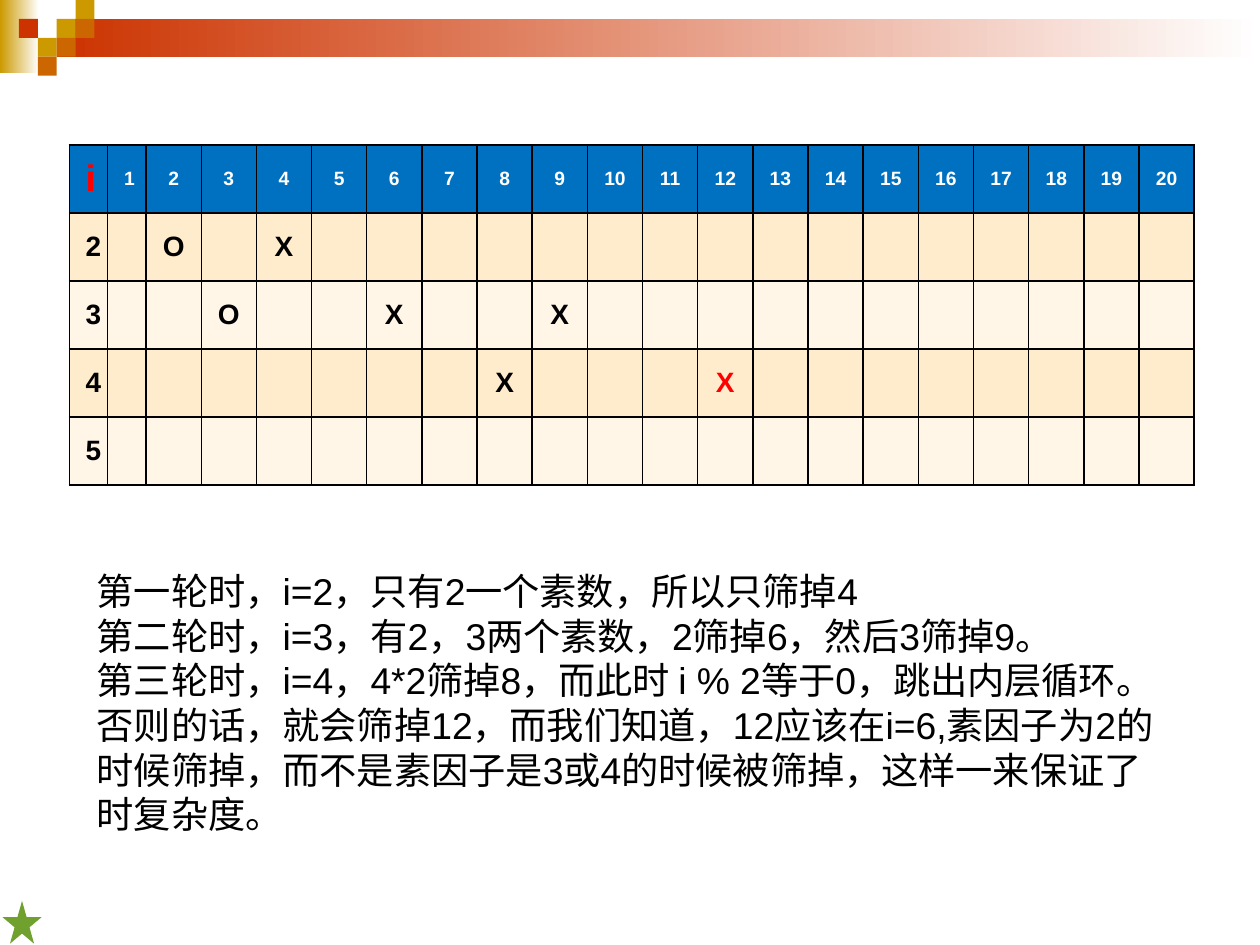
from lxml import etree
from pptx import Presentation
from pptx.dml.color import RGBColor
from pptx.enum.shapes import MSO_SHAPE
from pptx.enum.text import MSO_ANCHOR, MSO_AUTO_SIZE, PP_ALIGN
from pptx.oxml.ns import qn
from pptx.util import Inches, Pt

RECTANGLE, STAR = MSO_SHAPE.RECTANGLE, MSO_SHAPE.STAR_5_POINT
CENTER, MIDDLE = PP_ALIGN.CENTER, MSO_ANCHOR.MIDDLE
GROW = MSO_AUTO_SIZE.SHAPE_TO_FIT_TEXT

FONT = "Arial"
BLACK, WHITE, RED = "000000", "FFFFFF", "FF0000"
GOLD, ORANGE, RUST, GREEN = "CC9900", "CC6600", "CC3300", "70A02E"
HEADER_BLUE, BANDS = "0070C0", ("FFECCC", "FFF6E7")

NUMBERS = range(1, 21)
ROUNDS = (2, 3, 4, 5)
# (round, number): mark and its colour
MARKS = {
    (2, 2): ("O", BLACK), (2, 4): ("X", BLACK),
    (3, 3): ("O", BLACK), (3, 6): ("X", BLACK), (3, 9): ("X", BLACK),
    (4, 8): ("X", BLACK), (4, 12): ("X", RED),
}
EXPLANATION = (
    "第一轮时，i=2，只有2一个素数，所以只筛掉4",
    "第二轮时，i=3，有2，3两个素数，2筛掉6，然后3筛掉9。",
    "第三轮时，i=4，4*2筛掉8，而此时 i % 2等于0，跳出内层循环。",
    "否则的话，就会筛掉12，而我们知道，12应该在i=6,素因子为2的时候筛掉，"
    "而不是素因子是3或4的时候被筛掉，这样一来保证了时复杂度。",
)


def color(value):
    return RGBColor.from_string(value)


def place(box):
    return [Inches(length) for length in box]


def format_text(para, size, value, bold=False):
    for span in para.runs:
        span.font.name = FONT
        span.font.size = Pt(size)
        span.font.bold = bold
        span.font.color.rgb = color(value)


def add_plain_shape(page, kind, box, start, end=None):
    shape = page.shapes.add_shape(kind, *place(box))
    shape.shadow.inherit = False
    shape.line.fill.background()
    if end is None:
        shape.fill.solid()
        shape.fill.fore_color.rgb = color(start)
    else:
        shape.fill.gradient()
        shape.fill.gradient_angle = 0
        for stop, value in zip(shape.fill.gradient_stops, (start, end)):
            stop.color.rgb = color(value)


def add_banner(page, box):
    left, top, width, height = box
    tile = 0.15
    add_plain_shape(page, RECTANGLE, (left, top, 0.31, height), GOLD, WHITE)
    add_plain_shape(page, RECTANGLE,
                    (left + 0.45, top + tile, width - 0.45, 2 * tile), RUST, WHITE)
    # Checker tiles: column, row, colour
    for column, row, value in ((3, 1, GOLD), (4, 0, GOLD), (4, 1, ORANGE), (2, 2, GOLD),
                               (1, 1, RUST), (3, 2, ORANGE), (2, 3, ORANGE)):
        add_plain_shape(page, RECTANGLE,
                        (left + column * tile, top + row * tile, tile, tile), value)


def add_borders(cell):
    properties = cell._tc.get_or_add_tcPr()
    for position, side in enumerate(("a:lnL", "a:lnR", "a:lnT", "a:lnB")):
        line = etree.Element(qn(side), w=str(Pt(1)))
        fill = etree.SubElement(line, qn("a:solidFill"))
        etree.SubElement(fill, qn("a:srgbClr"), val=BLACK)
        properties.insert(position, line)


def fill_cell(cell, background, text="", size=16, value=BLACK):
    cell.fill.solid()
    cell.fill.fore_color.rgb = color(background)
    add_borders(cell)
    if text:
        cell.vertical_anchor = MIDDLE
        cell.margin_left = cell.margin_right = Inches(0.13)
        cell.margin_top = cell.margin_bottom = Inches(0.07)
        cell.text_frame.text = text
        para = cell.text_frame.paragraphs[0]
        para.alignment = CENTER
        format_text(para, size, value, bold=True)


def add_sieve_table(page, box):
    narrow = 0.305
    wide = (box[2] - 2 * narrow) / (len(NUMBERS) - 1)
    row_height = box[3] / (len(ROUNDS) + 1)
    table = page.shapes.add_table(len(ROUNDS) + 1, len(NUMBERS) + 1, *place(box)).table
    for index, column in enumerate(table.columns):
        column.width = Inches(narrow if index < 2 else wide)
    for row in table.rows:
        row.height = Inches(row_height)

    # Header row
    fill_cell(table.cell(0, 0), HEADER_BLUE, "i", 21, RED)
    for number in NUMBERS:
        fill_cell(table.cell(0, number), HEADER_BLUE, str(number), 11, WHITE)

    # One banded row for each round
    for row, current in enumerate(ROUNDS, start=1):
        band = BANDS[(row - 1) % 2]
        fill_cell(table.cell(row, 0), band, str(current))
        for number in NUMBERS:
            mark, value = MARKS.get((current, number), ("", BLACK))
            fill_cell(table.cell(row, number), band, mark, value=value)


def add_explanation(page, box):
    frame = page.shapes.add_textbox(*place(box)).text_frame
    frame.word_wrap = True
    frame.auto_size = GROW
    frame.text = "\n".join(EXPLANATION)
    for para in frame.paragraphs:
        format_text(para, 21.3, BLACK)


def main():
    deck = Presentation()
    deck.slide_width, deck.slide_height = Inches(10), Inches(7.5)
    page = deck.slides.add_slide(deck.slide_layouts[6])
    add_banner(page, (0, 0, 10, 0.58))
    add_plain_shape(page, STAR, (0.02, 7.15, 0.31, 0.34), GREEN)
    add_explanation(page, (0.67, 4.46, 8.69, 2.26))
    add_sieve_table(page, (0.55, 1.15, 8.93, 2.7))
    deck.save("out.pptx")


if __name__ == "__main__":
    main()
